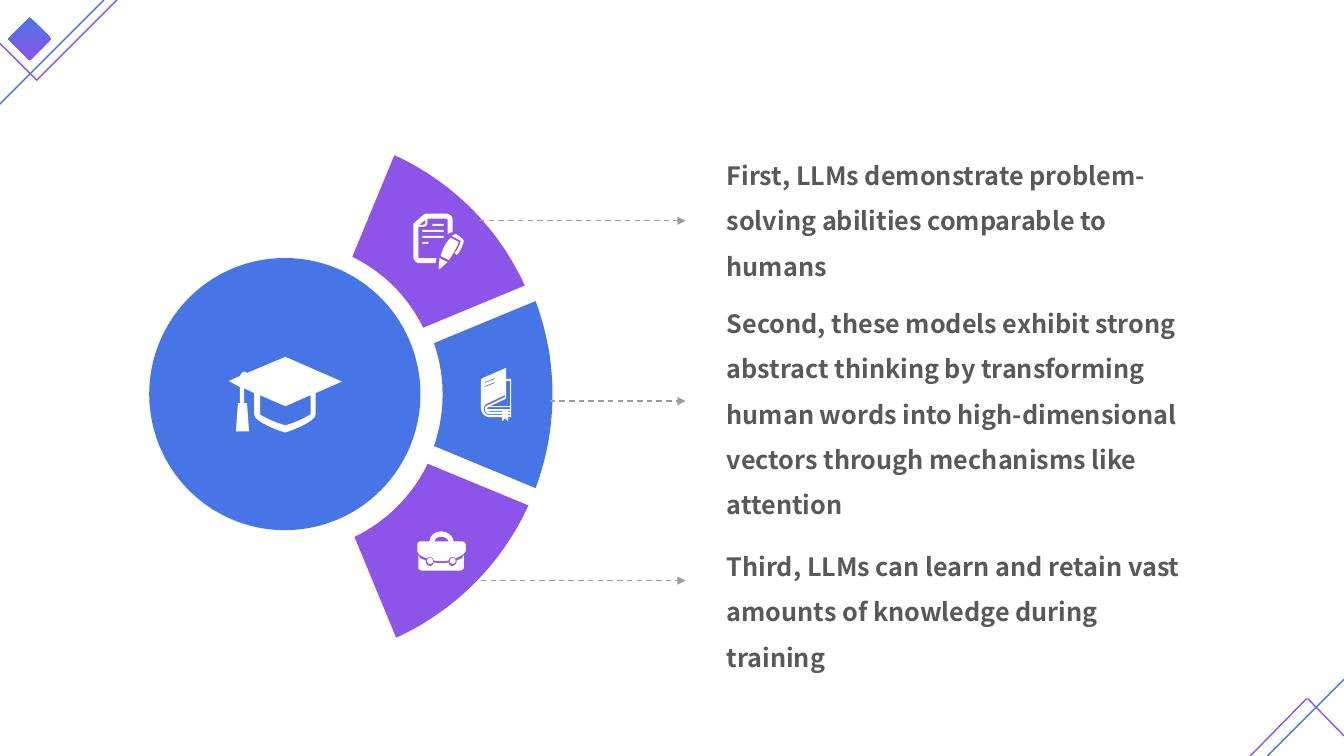
from dataclasses import dataclass
from math import cos, radians, sin

from lxml.etree import SubElement
from pptx import Presentation
from pptx.dml.color import RGBColor
from pptx.enum.dml import MSO_LINE_DASH_STYLE as Dash
from pptx.enum.shapes import MSO_CONNECTOR as Link, MSO_SHAPE as Kind
from pptx.enum.text import MSO_AUTO_SIZE as Fit
from pptx.oxml.ns import qn
from pptx.util import Inches, Pt

BLUE, PURPLE, GRAY, WHITE = "4875E6", "8C54E9", "9B9C9F", "FFFFFF"
HUB = (2.83, 3.915)
UNITS = 1000  # outline units per inch

Spot = tuple[float, ...]  # two numbers: a corner; six: a cubic curve
Loop = list[Spot]


def color(code: str) -> RGBColor:
    return RGBColor.from_string(code)


FONT = {"name": "Noto Sans CJK SC", "size": Pt(18), "bold": True}


@dataclass
class Line:
    start: Spot
    end: Spot
    tint: str


@dataclass
class Point:
    text: str
    tint: str
    angle: float  # middle of the sector, clockwise from the right
    inner: float
    outer: float
    arrow: Spot  # left end and height of the arrow
    top: float
    height: float


LINES = [
    Line((-0.02, 1.05), (1.03, 0), BLUE),
    Line((0, 0.43), (0.37, 0.8), PURPLE),
    Line((0.37, 0.79), (1.16, 0), PURPLE),
    Line((12.57, 7.5), (13.33, 6.74), BLUE),
    Line((12.4, 7.5), (12.96, 6.93), PURPLE),
    Line((12.97, 6.93), (13.33, 7.3), PURPLE),
]

POINTS = [
    Point("First, LLMs demonstrate problem-solving abilities comparable to humans",
          PURPLE, -45, 1.52, 2.61, (4.75, 2.19), 1.39, 1.46),
    Point("Second, these models exhibit strong abstract thinking by transforming human "
          "words into high-dimensional vectors through mechanisms like attention",
          BLUE, 0, 1.56, 2.65, (5.45, 3.98), 2.86, 2.37),
    Point("Third, LLMs can learn and retain vast amounts of knowledge during training",
          PURPLE, 45, 1.57, 2.65, (4.77, 5.76), 5.27, 1.46),
]


def box(left: float, top: float, right: float, base: float) -> Loop:
    return [(left, top), (right, top), (right, base), (left, base)]


def disc(x: float, y: float, size: float) -> Loop:
    return [(x + size * cos(radians(a)), y + size * sin(radians(a)))
            for a in range(0, 360, 30)]


def flat(loop: Loop) -> Loop:
    """Turn the curves of a loop into short straight steps."""
    out = [loop[0]]
    for spot in loop[1:]:
        if len(spot) == 2:
            out.append(spot)
            continue
        a, b, c, d = out[-1], spot[:2], spot[2:4], spot[4:]
        for t in (i / 8 for i in range(1, 9)):
            u = 1 - t
            out.append(tuple(u**3 * p + 3 * u * u * t * q + 3 * u * t * t * r + t**3 * s
                             for p, q, r, s in zip(a, b, c, d)))
    return out


CAP = [
    [(3.39, 3.785), (2.83, 3.54), (2.45, 3.7), (2.42, 3.67, 2.39, 3.7, 2.38, 3.73),
     (2.27, 3.78), (2.38, 3.84), (2.38, 4), (2.36, 4), (2.34, 4.28), (2.47, 4.28),
     (2.45, 4), (2.42, 4), (2.42, 3.85), (2.52, 3.9), (2.52, 4.11),
     (2.52, 4.19, 2.81, 4.29, 2.83, 4.29), (2.84, 4.29, 3.13, 4.19, 3.13, 4.11),
     (3.13, 3.9)],
    [(3.08, 4.11), (3.05, 4.13, 2.94, 4.19, 2.83, 4.22),
     (2.72, 4.19, 2.6, 4.13, 2.58, 4.11), (2.58, 3.92), (2.83, 4.03), (3.08, 3.92)],
]

BAG = [
    # Body
    [(4.53, 5.56), (4.53, 5.63, 4.45, 5.63, 4.45, 5.58), (4.4, 5.59, 4.35, 5.59, 4.3, 5.58),
     (4.3, 5.63, 4.22, 5.63, 4.22, 5.56), (4.17, 5.54), (4.15, 5.51), (4.15, 5.63),
     (4.15, 5.65, 4.17, 5.66, 4.19, 5.66), (4.56, 5.66),
     (4.58, 5.66, 4.6, 5.65, 4.6, 5.63), (4.6, 5.51), (4.58, 5.54)],
    # Lid and handle
    [(4.57, 5.37), (4.5, 5.37), (4.48, 5.24, 4.27, 5.24, 4.26, 5.37), (4.18, 5.37),
     (4.15, 5.37, 4.14, 5.39, 4.14, 5.4), (4.14, 5.46),
     (4.14, 5.47, 4.15, 5.5, 4.17, 5.51), (4.23, 5.54),
     (4.25, 5.52, 4.3, 5.52, 4.3, 5.56), (4.35, 5.57, 4.4, 5.57, 4.45, 5.56),
     (4.45, 5.52, 4.5, 5.52, 4.52, 5.54), (4.58, 5.51),
     (4.6, 5.5, 4.62, 5.47, 4.62, 5.46), (4.62, 5.4), (4.62, 5.39, 4.6, 5.37, 4.57, 5.37)],
    [(4.31, 5.37), (4.32, 5.31, 4.43, 5.31, 4.45, 5.37)],
    disc(4.265, 5.565, 0.03), disc(4.49, 5.565, 0.03),
]

BOOK = [
    [(5.07, 4.14), (5.07, 3.76), (5.02, 3.76), (5.02, 3.65), (4.79, 3.75),
     (4.78, 3.76, 4.77, 3.76, 4.77, 3.77), (4.77, 4.04),
     (4.77, 4.1, 4.81, 4.14, 4.86, 4.14), (4.98, 4.14), (4.98, 4.18), (5.01, 4.15),
     (5.04, 4.18), (5.04, 4.14)],
    *([(4.81, y), (4.91, y - 0.04), (4.91, y - 0.03), (4.81, y + 0.01)]
      for y in (3.79, 3.83)),
    # Spine and pages
    [(4.86, 4.12), (4.83, 4.12, 4.8, 4.1, 4.8, 4.06), (4.8, 4.03, 4.81, 4.01, 4.84, 4),
     (5.01, 3.92), (5.01, 3.94), (4.84, 4.02), (4.82, 4.02, 4.81, 4.04, 4.81, 4.06),
     (4.81, 4.09, 4.83, 4.11, 4.86, 4.11), (4.98, 4.11), (4.98, 4.12)],
    [(4.84, 4.08), (4.98, 4.08), (4.98, 4.09), (4.86, 4.09)],
    box(5.04, 4.11, 5.06, 4.12), box(5.04, 4.08, 5.06, 4.09),
    [(5.06, 4.06), (4.83, 4.06), (4.84, 4.04), (5.06, 4.04)],
    [(5.06, 4.03), (4.86, 4.03), (5.01, 3.96), (5.02, 3.95), (5.02, 3.78), (5.06, 3.78)],
]

NOTE = [
    # Sheet
    [(4.22, 2.12), (4.43, 2.12), (4.46, 2.12, 4.49, 2.15, 4.49, 2.18), (4.49, 2.3),
     (4.44, 2.32), (4.44, 2.18), (4.43, 2.17), (4.24, 2.17), (4.24, 2.21),
     (4.24, 2.24, 4.22, 2.25, 4.19, 2.25), (4.15, 2.25), (4.15, 2.56), (4.33, 2.56),
     (4.32, 2.61), (4.16, 2.61), (4.13, 2.61, 4.1, 2.58, 4.1, 2.55), (4.1, 2.22),
     (4.2, 2.13)],
    [(4.16, 2.23), (4.19, 2.23), (4.21, 2.23, 4.22, 2.22, 4.22, 2.2), (4.22, 2.18)],
    # Written lines
    box(4.29, 2.22, 4.4, 2.24), box(4.19, 2.28, 4.4, 2.3),
    box(4.19, 2.34, 4.4, 2.36), box(4.19, 2.4, 4.25, 2.42),
    # Pen
    [(4.55, 2.34), (4.52, 2.32), (4.48, 2.34), (4.57, 2.39),
     (4.56, 2.43, 4.54, 2.47, 4.51, 2.51), (4.53, 2.53),
     (4.57, 2.49, 4.59, 2.44, 4.6, 2.39), (4.59, 2.37)],
    [(4.47, 2.36), (4.42, 2.41, 4.39, 2.47, 4.37, 2.54), (4.45, 2.58),
     (4.49, 2.53, 4.53, 2.46, 4.55, 2.4)],
    [(4.36, 2.56), (4.35, 2.66), (4.36, 2.67), (4.44, 2.6)],
]


def plain(shape, tint: str) -> None:
    shape.shadow.inherit = False
    shape.fill.solid()
    shape.fill.fore_color.rgb = color(tint)
    shape.line.fill.background()


def trace(shapes, loops: list[Loop], tint: str) -> None:
    pen = None
    for loop in loops:
        first, *rest = [(x * UNITS, y * UNITS) for x, y in flat(loop)]
        if pen is None:
            pen = shapes.build_freeform(*first, scale=Inches(1) / UNITS)
        else:
            pen.move_to(*first)
        pen.add_line_segments(rest, close=True)
    plain(pen.convert_to_shape(), tint)


def sector(point: Point) -> Loop:
    loop = []
    for size, half in ((point.outer, 20.5), (point.inner, -19.1)):
        for i in range(-12, 13):
            turn = radians(point.angle + half * i / 12)
            loop.append((HUB[0] + size * cos(turn), HUB[1] + size * sin(turn)))
    return loop


def rule(shapes, line: Line, arrow: bool = False) -> None:
    link = shapes.add_connector(Link.STRAIGHT, *map(Inches, line.start + line.end))
    link.line.color.rgb = color(line.tint)
    link.line.width = Pt(1)
    if arrow:
        link.line.dash_style = Dash.DASH
        SubElement(link.line._ln, qn("a:tailEnd"), type="triangle")
    SubElement(link._element.spPr, qn("a:effectLst"))


def label(shapes, point: Point) -> None:
    frame = shapes.add_textbox(
        *map(Inches, (7.11, point.top, 4.82, point.height))).text_frame
    frame.word_wrap = True
    frame.auto_size = Fit.SHAPE_TO_FIT_TEXT
    para = frame.paragraphs[0]
    para.line_spacing = 1.5
    run = para.add_run()
    run.text = point.text
    for key, value in FONT.items():
        setattr(run.font, key, value)
    run.font.color.rgb = color("595959")


def main() -> None:
    deck = Presentation()
    deck.slide_width, deck.slide_height = Inches(13.33), Inches(7.5)
    shapes = deck.slides.add_slide(deck.slide_layouts[6]).shapes

    # Corner ornaments
    for line in LINES:
        rule(shapes, line)
    gem = shapes.add_shape(Kind.DIAMOND, *map(Inches, (0.08, 0.17, 0.43, 0.43)))
    plain(gem, BLUE)
    gem.fill.gradient()
    gem.fill.gradient_angle = 270
    for stop, tint in zip(gem.fill.gradient_stops, (BLUE, PURPLE)):
        stop.color.rgb = color(tint)

    # Hub, sectors, arrows and texts
    plain(shapes.add_shape(Kind.OVAL, *map(Inches, (1.48, 2.56, 2.69, 2.7))), BLUE)
    for point in POINTS:
        trace(shapes, [sector(point)], point.tint)
        rule(shapes, Line(point.arrow, (6.8, point.arrow[1]), GRAY), arrow=True)
        label(shapes, point)

    # Icons
    for icon in (BAG, BOOK, CAP, NOTE):
        trace(shapes, icon, WHITE)

    deck.save("out.pptx")


if __name__ == "__main__":
    main()
